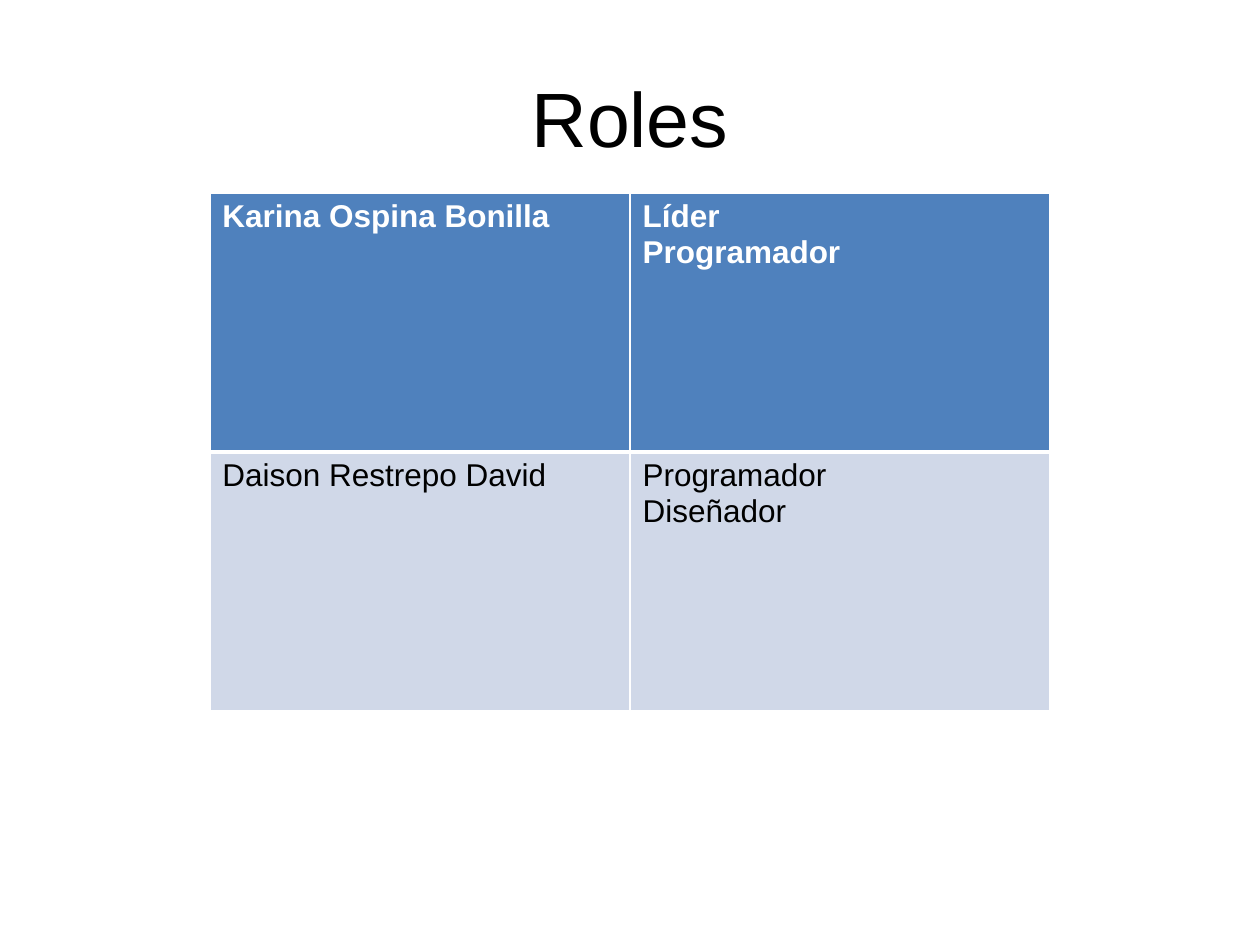
from dataclasses import dataclass

from lxml.etree import SubElement as Sub
from pptx import Presentation
from pptx.dml.color import RGBColor as RGB
from pptx.enum.text import MSO_ANCHOR as Anchor, PP_ALIGN as Align
from pptx.oxml.ns import qn
from pptx.util import Cm, Pt


@dataclass(frozen=True)
class Theme:
    """Colours, font and type sizes of the slide."""
    font: str = "Arial"
    title_size: int = 44
    cell_size: int = 18
    dark: str = "000000"
    light: str = "FFFFFF"
    header_fill: str = "4F81BD"
    body_fill: str = "D0D8E8"


THEME = Theme()
ROLES = [
    ("Karina Ospina Bonilla", ["Líder", "Programador"]),
    ("Daison Restrepo David", ["Programador", "Diseñador"]),
]


def write_lines(p, lines, size, color, bold=False):
    """Write lines into one paragraph, parted by line breaks."""
    for i, line in enumerate(lines):
        if i:
            p.add_line_break()
        r = p.add_run()
        r.text = line
        fmt = {"name": THEME.font, "size": Pt(size), "bold": bold}
        for name, value in fmt.items():
            setattr(r.font, name, value)
        r.font.color.rgb = RGB.from_string(color)


def add_title(s, text):
    """Add the centred slide title."""
    tf = s.shapes.add_textbox(Cm(1.27), Cm(0.76), Cm(22.86), Cm(3.18)).text_frame
    fmt = {"word_wrap": True, "vertical_anchor": Anchor.MIDDLE}
    for name, value in fmt.items():
        setattr(tf, name, value)
    p = tf.paragraphs[0]
    p.alignment = Align.CENTER
    write_lines(p, [text], THEME.title_size, THEME.dark)


def set_borders(cell, widths):
    """Draw cell borders with the given widths in points by side."""
    tc_pr = cell._tc.get_or_add_tcPr()
    for side, width in widths.items():
        ln = Sub(tc_pr, qn(f"a:ln{side}"), w=str(Pt(width)))
        Sub(Sub(ln, qn("a:solidFill")), qn("a:srgbClr"), val=THEME.light)


def add_roles_table(s, roles):
    """Add the table of people and their roles, first row as header."""
    tbl = s.shapes.add_table(len(roles), 2, Cm(4.23), Cm(3.89),
                             Cm(16.94), Cm(10.44)).table
    for i, (person, duties) in enumerate(roles):
        header = i == 0
        fill = THEME.header_fill if header else THEME.body_fill
        color = THEME.light if header else THEME.dark
        widths = {"L": 1, "R": 1, "T": 3 if i == 1 else 1, "B": 3 if header else 1}
        for j, lines in enumerate([[person], duties]):
            cell = tbl.cell(i, j)
            set_borders(cell, widths)
            cell.fill.solid()
            cell.fill.fore_color.rgb = RGB.from_string(fill)
            write_lines(cell.text_frame.paragraphs[0], lines,
                        THEME.cell_size, color, header)


def main():
    """Build the roles slide and save it."""
    prs = Presentation()
    prs.slide_width, prs.slide_height = Cm(25.4), Cm(19.05)
    s = prs.slides.add_slide(prs.slide_layouts[6])
    add_title(s, "Roles")
    add_roles_table(s, ROLES)
    prs.save("out.pptx")


if __name__ == "__main__":
    main()
